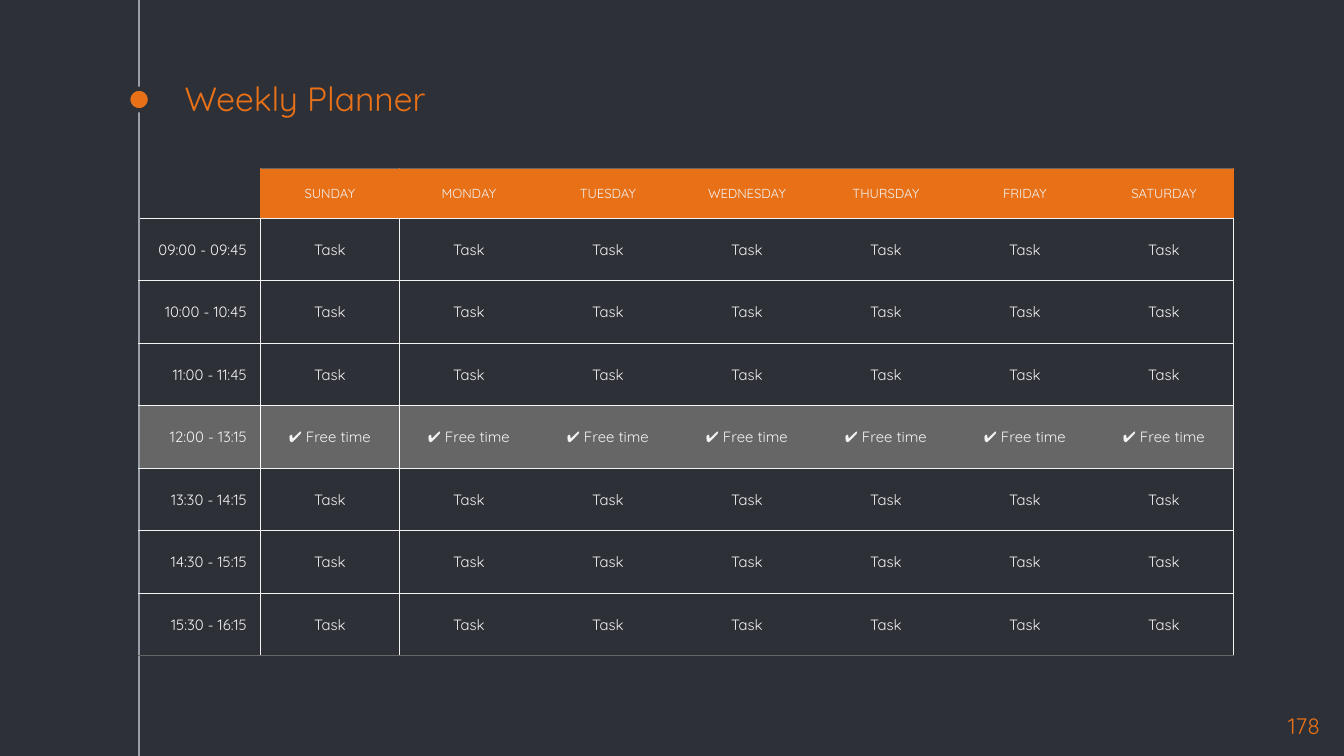
from lxml import etree
from pptx import Presentation
from pptx.dml.color import RGBColor
from pptx.enum.shapes import MSO_CONNECTOR, MSO_SHAPE
from pptx.enum.text import MSO_ANCHOR, PP_ALIGN
from pptx.oxml.ns import qn
from pptx.util import Pt

STRAIGHT = MSO_CONNECTOR.STRAIGHT
OVAL = MSO_SHAPE.OVAL
TOP, MIDDLE, BOTTOM = MSO_ANCHOR.TOP, MSO_ANCHOR.MIDDLE, MSO_ANCHOR.BOTTOM
LEFT, CENTER, RIGHT = PP_ALIGN.LEFT, PP_ALIGN.CENTER, PP_ALIGN.RIGHT

FONT = "Quicksand"
INSET = 7.2
THIN = 0.75
PLAIN = "{2D5ABB26-0587-4C30-8999-92F81FD0307C}"
COLORS = {
    "back": "2E3037",
    "orange": "E87118",
    "rail": "999FA9",
    "light": "F3F3F3",
    "white": "FFFFFF",
    "gray": "666666",
}

DAYS = ["SUNDAY", "MONDAY", "TUESDAY", "WEDNESDAY", "THURSDAY", "FRIDAY", "SATURDAY"]
HOURS = [
    "09:00 - 09:45", "10:00 - 10:45", "11:00 - 11:45", "12:00 - 13:15",
    "13:30 - 14:15", "14:30 - 15:15", "15:30 - 16:15",
]
BREAK = "12:00 - 13:15"


class Deck:
    def __init__(self, show):
        self.slide = show.slides.add_slide(show.slide_layouts[6])
        fill = self.slide.background.fill
        fill.solid()
        fill.fore_color.rgb = self.color("back")

    def color(self, name):
        return RGBColor.from_string(COLORS[name])

    def line(self, x1, y1, x2, y2, color):
        line = self.slide.shapes.add_connector(STRAIGHT, Pt(x1), Pt(y1), Pt(x2), Pt(y2))
        line.line.color.rgb = self.color(color)
        line.line.width = Pt(THIN)
        etree.SubElement(line._element.spPr, qn("a:effectLst"))

    def dot(self, x, y, size, color):
        dot = self.slide.shapes.add_shape(OVAL, Pt(x), Pt(y), Pt(size), Pt(size))
        dot.shadow.inherit = False
        dot.fill.solid()
        dot.fill.fore_color.rgb = self.color(color)
        dot.line.color.rgb = self.color("back")
        dot.line.width = Pt(2.25)

    def label(self, frame, text, size, color, align):
        frame.text = text
        para = frame.paragraphs[0]
        para.alignment = align
        for run in para.runs:
            run.font.name = FONT
            run.font.size = Pt(size)
            run.font.color.rgb = self.color(color)

    def text(self, x, y, w, h, text, size, color, align=LEFT, anchor=TOP):
        frame = self.slide.shapes.add_textbox(Pt(x), Pt(y), Pt(w), Pt(h)).text_frame
        frame.word_wrap = True
        frame.vertical_anchor = anchor
        frame.margin_left = frame.margin_right = Pt(INSET)
        frame.margin_top = frame.margin_bottom = Pt(INSET)
        self.label(frame, text, size, color, align)

    def table(self, x, y, cols, rows):
        frame = self.slide.shapes.add_table(
            len(rows), len(cols), Pt(x), Pt(y), Pt(sum(cols)), Pt(sum(rows)))
        table = frame.table
        table.first_row = table.horz_banding = False
        table._tbl.tblPr.find(qn("a:tableStyleId")).text = PLAIN
        for col, width in zip(table.columns, cols):
            col.width = Pt(width)
        for row, height in zip(table.rows, rows):
            row.height = Pt(height)
        return table

    def cell(self, cell, text, size, align, edges, fill=None):
        cell.vertical_anchor = MIDDLE
        cell.margin_left = cell.margin_right = Pt(INSET)
        cell.margin_top = cell.margin_bottom = Pt(INSET)
        self.label(cell.text_frame, text, size, "light", align)
        if not text:
            para = cell.text_frame.paragraphs[0]._p
            etree.SubElement(para, qn("a:endParaRPr"), sz=str(size * 100))
        props = cell._tc.get_or_add_tcPr()
        for side in "LRTB":
            if side in edges:
                edge = etree.SubElement(props, qn("a:ln" + side), w=str(Pt(THIN)))
                paint = etree.SubElement(edge, qn("a:solidFill"))
                etree.SubElement(paint, qn("a:srgbClr"), val=COLORS[edges[side]])
        if fill:
            cell.fill.solid()
            cell.fill.fore_color.rgb = self.color(fill)
        else:
            cell.fill.background()


def planner(deck):
    table = deck.table(74.5, 90.3, [65] + [74.47] * len(DAYS), [26.6] + [33.48] * len(HOURS))
    deck.cell(table.cell(0, 0), "", 7, CENTER, {"R": "orange", "B": "light"})
    last = len(DAYS)
    for col, day in enumerate(DAYS, 1):
        edges = {"T": "gray", "B": "light"}
        if col == 1:
            edges["L"] = "orange"
        if col == last:
            edges["R"] = "orange"
        deck.cell(table.cell(0, col), day, 7, CENTER, edges, "orange")
    for row, hour in enumerate(HOURS, 1):
        rest = hour == BREAK
        fill = "gray" if rest else None
        task = "✔ Free time" if rest else "Task"
        split = "white" if rest else "light"
        base = {"T": "light", "B": "gray" if row == len(HOURS) else "light"}
        deck.cell(table.cell(row, 0), hour, 8, RIGHT, {**base, "L": "rail", "R": split}, fill)
        for col in range(1, last + 1):
            edges = dict(base)
            if col == 1:
                edges["L"] = split
            if col == last:
                edges["R"] = "light"
            deck.cell(table.cell(row, col), task, 8, CENTER, edges, fill)


def main():
    show = Presentation()
    show.slide_width, show.slide_height = Pt(720), Pt(405)
    deck = Deck(show)
    deck.line(74.5, 0, 74.5, 405, "rail")
    deck.dot(68.7, 47.5, 11.6, "orange")
    deck.text(91.8, 43.2, 540, 27.4, "Weekly Planner", 18, "orange", anchor=BOTTOM)
    deck.text(671, 374.4, 43.2, 24.5, "178", 12, "orange", RIGHT)
    planner(deck)
    show.save("out.pptx")


if __name__ == "__main__":
    main()
